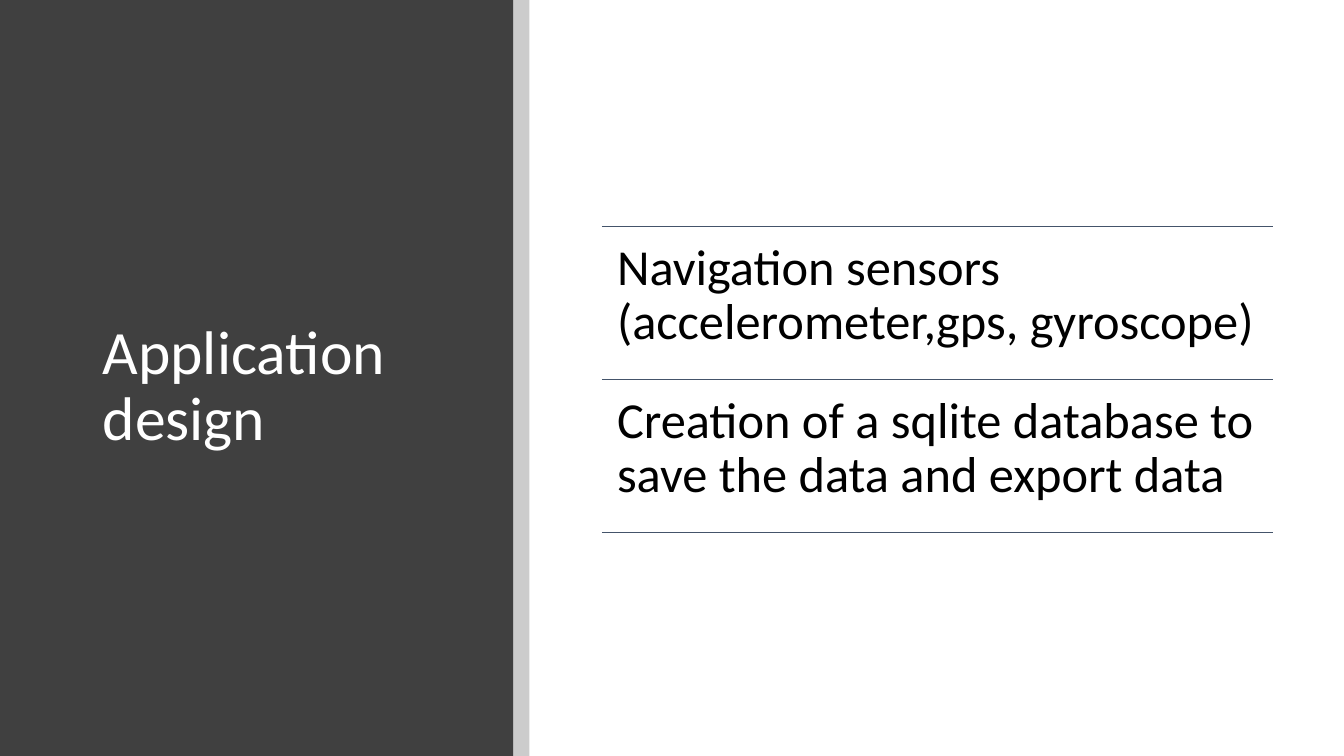
from dataclasses import dataclass

import pptx
import pptx.dml.color
import pptx.enum.shapes
import pptx.enum.text
import pptx.oxml.ns
import pptx.shapes.autoshape
import pptx.slide
import pptx.util
from lxml import etree

Inches = pptx.util.Inches
RGB = pptx.dml.color.RGBColor
Anchor = pptx.enum.text.MSO_ANCHOR

WHITE = RGB(0xFF, 0xFF, 0xFF)
BLACK = RGB(0x00, 0x00, 0x00)
DARK = RGB(0x40, 0x40, 0x40)
SLATE = RGB(0x44, 0x54, 0x6A)

FONT = "Calibri"
HEIGHT = 7.5
PANEL = 5.09
LEFT, TOP, WIDTH, STEP = 5.97, 2.25, 6.66, 1.515


@dataclass
class Label:
    text: str
    left: float
    top: float
    width: float
    height: float
    size: int
    color: RGB
    anchor: Anchor = Anchor.TOP
    side: float = 0.15
    edge: float = 0.15
    after: float = 0


def add_bar(slide: pptx.slide.Slide, left: float, width: float,
            color: RGB) -> pptx.shapes.autoshape.Shape:
    """Add a plain bar as tall as the slide."""
    bar = slide.shapes.add_shape(
        pptx.enum.shapes.MSO_SHAPE.RECTANGLE,
        Inches(left), Inches(0), Inches(width), Inches(HEIGHT))
    bar.shadow.inherit = False
    bar.fill.solid()
    bar.fill.fore_color.rgb = color
    bar.line.fill.background()
    return bar


def set_alpha(bar: pptx.shapes.autoshape.Shape, percent: int) -> None:
    qn = pptx.oxml.ns.qn
    color = bar.fill._xPr.find(qn("a:solidFill")).find(qn("a:srgbClr"))
    etree.SubElement(color, qn("a:alpha")).set("val", str(percent * 1000))


def add_rule(slide: pptx.slide.Slide, top: float) -> None:
    """Add a thin line across the list."""
    rule = slide.shapes.add_connector(
        pptx.enum.shapes.MSO_CONNECTOR.STRAIGHT,
        Inches(LEFT), Inches(top), Inches(LEFT + WIDTH), Inches(top))
    rule.line.color.rgb = SLATE
    rule.line.width = pptx.util.Pt(0.5)
    etree.SubElement(rule._element.spPr, pptx.oxml.ns.qn("a:effectLst"))


def add_label(slide: pptx.slide.Slide, label: Label) -> None:
    box = slide.shapes.add_textbox(
        Inches(label.left), Inches(label.top),
        Inches(label.width), Inches(label.height))
    frame = box.text_frame
    frame.word_wrap = True
    frame.vertical_anchor = label.anchor
    frame.margin_left = frame.margin_right = Inches(label.side)
    frame.margin_top = frame.margin_bottom = Inches(label.edge)
    para = frame.paragraphs[0]
    para.line_spacing = 0.9
    para.space_after = pptx.util.Pt(label.after)
    run = para.add_run()
    run.text = label.text
    run.font.name = FONT
    run.font.size = pptx.util.Pt(label.size)
    run.font.color.rgb = label.color


def main() -> None:
    deck = pptx.Presentation()
    deck.slide_width = Inches(13.33)
    deck.slide_height = Inches(HEIGHT)
    slide = deck.slides.add_slide(deck.slide_layouts[6])

    add_bar(slide, 0, PANEL, DARK)
    add_label(slide, Label("Application design", 0.92, 0.89, 3.65, 5.91, 44,
                           WHITE, Anchor.MIDDLE, 0.1, 0.05))
    set_alpha(add_bar(slide, PANEL, 0.16, BLACK), 20)

    items = ["Navigation sensors (accelerometer,gps, gyroscope)",
             "Creation of a sqlite database to save the data and export data"]
    for row in range(len(items) + 1):
        add_rule(slide, TOP + row * STEP)
    for row, text in enumerate(items):
        add_label(slide, Label(text, LEFT, TOP + row * STEP, WIDTH, STEP, 36,
                               BLACK, after=12.6))

    deck.save("out.pptx")


if __name__ == "__main__":
    main()
